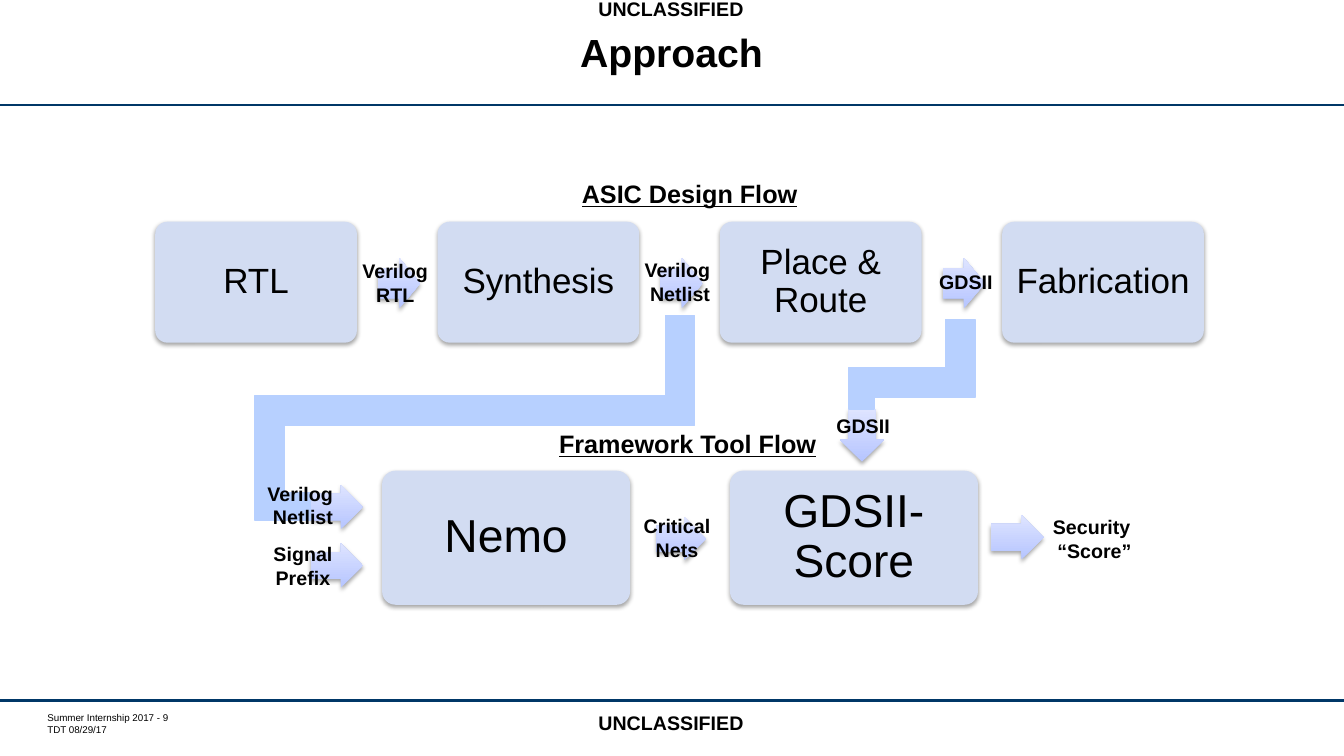
from dataclasses import dataclass

from lxml import etree
from pptx import Presentation, util as u
from pptx.dml.color import RGBColor
from pptx.enum import shapes, text
from pptx.oxml import ns

Inches, Pt = u.Inches, u.Pt
SHAPE = shapes.MSO_SHAPE


@dataclass(frozen=True)
class Theme:
    font: str = "Arial"
    ink: RGBColor = RGBColor(0x00, 0x00, 0x00)
    rule: RGBColor = RGBColor(0x00, 0x37, 0x67)
    box: RGBColor = RGBColor(0xD2, 0xDC, 0xF2)
    pipe: RGBColor = RGBColor(0xB7, 0xD0, 0xFF)
    arrow_low: RGBColor = RGBColor(0xB6, 0xC5, 0xFF)
    arrow_high: RGBColor = RGBColor(0xDE, 0xE4, 0xFF)
    title: int = 28
    heading: int = 18
    label: int = 14
    footer: int = 7
    flow_box: int = 25
    tool_box: int = 33


theme = Theme()
CENTER = text.PP_ALIGN.CENTER

prs = Presentation()
prs.slide_width, prs.slide_height = Inches(13.33), Inches(7.5)
s = prs.slides.add_slide(prs.slide_layouts[6])


def write(sp, lines, size, bold=False, underline=False, align=CENTER, spacing=None):
    """Fill a shape with one paragraph per line."""
    tf = sp.text_frame
    for i, line in enumerate(lines):
        p = tf.paragraphs[0] if i == 0 else tf.add_paragraph()
        p.alignment = align
        if spacing:
            p.line_spacing = spacing
        r = p.add_run()
        r.text = line
        r.font.name, r.font.size = theme.font, Pt(size)
        r.font.bold, r.font.underline = bold, underline
        r.font.color.rgb = theme.ink
    return tf


def add_block(kind, x, y, w, h, color=None):
    """Add a borderless shape with a soft shadow; a gradient if no colour is given."""
    sp = s.shapes.add_shape(kind, Inches(x), Inches(y), Inches(w), Inches(h))
    sp.line.fill.background()
    if color is not None:
        sp.fill.solid()
        sp.fill.fore_color.rgb = color
    else:
        sp.fill.gradient()
        sp.fill.gradient_angle = 90
        low, high = sp.fill.gradient_stops
        low.color.rgb, low.position = theme.arrow_low, 0
        high.color.rgb, high.position = theme.arrow_high, 1
    sp.shadow.inherit = False
    effects = sp._element.spPr.find(ns.qn("a:effectLst"))
    shadow = etree.SubElement(effects, ns.qn("a:outerShdw"), blurRad=str(Pt(3.1)),
                              dist=str(Pt(1.8)), dir="5400000", rotWithShape="0")
    black = etree.SubElement(shadow, ns.qn("a:srgbClr"), val="000000")
    etree.SubElement(black, ns.qn("a:alpha"), val="35000")
    return sp


# Header and footer rules
for y in (1.04, 6.95):
    rule = s.shapes.add_connector(shapes.MSO_CONNECTOR.STRAIGHT, 0, Inches(y),
                                  prs.slide_width, Inches(y))
    rule.line.color.rgb, rule.line.width = theme.rule, Pt(1.75)
    etree.SubElement(rule._element.spPr, ns.qn("a:effectLst"))

# Footer note
note = s.shapes.add_textbox(Inches(0.47), Inches(7.06), Inches(1.59), Inches(0.24))
tf = write(note, ["Summer Internship 2017 - 9", "TDT 08/29/17"], theme.footer,
           align=text.PP_ALIGN.LEFT)
tf.word_wrap = True
tf.margin_left = tf.margin_top = tf.margin_right = tf.margin_bottom = 0

# Title
title = s.shapes.add_textbox(Inches(1.37), Inches(0.11), Inches(10.58), Inches(0.89))
tf = write(title, ["Approach"], theme.title, bold=True, spacing=Pt(28))
tf.word_wrap = True
tf.vertical_anchor = text.MSO_ANCHOR.MIDDLE

# Boxes of both flows: left, top, width, height, pitch, type size, inset, names
flows = [
    (1.54, 2.2, 2, 1.2, 2.8, theme.flow_box, 0.09,
     ["RTL", "Synthesis", "Place & Route", "Fabrication"]),
    (3.79, 4.67, 2.46, 1.33, 3.45, theme.tool_box, 0.14, ["Nemo", "GDSII-Score"]),
]
for x, y, w, h, pitch, size, inset, names in flows:
    for i, name in enumerate(names):
        sp = add_block(SHAPE.ROUNDED_RECTANGLE, x + i * pitch, y, w, h, theme.box)
        sp.adjustments[0] = 0.1
        tf = write(sp, [name], size, spacing=0.9)
        tf.word_wrap = True
        tf.vertical_anchor = text.MSO_ANCHOR.MIDDLE
        tf.margin_left = tf.margin_right = Inches(inset)
        tf.margin_top = tf.margin_bottom = Inches(inset)

# Arrows
arrows = [(SHAPE.RIGHT_ARROW, 3.75 + i * 2.8, 2.56, 0.42, 0.5) for i in range(3)]
arrows += [
    (SHAPE.RIGHT_ARROW, 6.51, 5.13, 0.49, 0.43),
    (SHAPE.RIGHT_ARROW, 3.08, 5.39, 0.52, 0.44),
    (SHAPE.RIGHT_ARROW, 3.08, 4.81, 0.52, 0.44),
    (SHAPE.RIGHT_ARROW, 9.83, 5.11, 0.52, 0.44),
    (SHAPE.DOWN_ARROW, 8.33, 4.06, 0.44, 0.52),
]
for arrow in arrows:
    sp = add_block(*arrow)
    sp.adjustments[0], sp.adjustments[1] = 0.6, 0.5

# Pipes from the design flow down to the tool flow
pipes = [
    (6.6, 3.13, 0.29, 1.07), (2.53, 3.93, 4.36, 0.29),
    (2.53, 3.93, 0.29, 1.23), (2.53, 4.89, 0.55, 0.27),
    (8.42, 3.65, 1.25, 0.29), (9.38, 3.17, 0.29, 0.77), (8.42, 3.65, 0.25, 0.41),
]
for pipe in pipes:
    sp = s.shapes.add_shape(SHAPE.RECTANGLE, *map(Inches, pipe))
    sp.shadow.inherit = False
    sp.fill.solid()
    sp.fill.fore_color.rgb = sp.line.color.rgb = theme.pipe
    sp.line.width = Pt(1)

# Headings, markings and arrow labels: left, top, width, height, lines
headings = [
    (5.66, 1.72, 2.36, 0.4, ["ASIC Design Flow"]),
    (5.43, 4.2, 2.78, 0.4, ["Framework Tool Flow"]),
]
labels = [
    (5.83, -0.08, 1.65, 0.34, ["UNCLASSIFIED"]),
    (5.83, 7, 1.65, 0.34, ["UNCLASSIFIED"]),
    (3.49, 2.52, 0.86, 0.57, ["Verilog", "RTL"]),
    (6.29, 2.51, 0.91, 0.57, ["Verilog ", "Netlist"]),
    (9.21, 2.63, 0.74, 0.34, ["GDSII"]),
    (8.19, 4.06, 0.74, 0.34, ["GDSII"]),
    (2.55, 4.73, 0.91, 0.57, ["Verilog ", "Netlist"]),
    (2.61, 5.33, 0.79, 0.57, ["Signal", "Prefix"]),
    (6.28, 5.05, 0.87, 0.57, ["Critical", "Nets"]),
    (10.34, 5.06, 1.03, 0.57, ["Security ", "“Score”"]),
]
for group, size, underline in ((headings, theme.heading, True),
                               (labels, theme.label, False)):
    for x, y, w, h, lines in group:
        sp = s.shapes.add_textbox(Inches(x), Inches(y), Inches(w), Inches(h))
        tf = write(sp, lines, size, bold=True, underline=underline)
        tf.word_wrap = False
        tf.auto_size = text.MSO_AUTO_SIZE.SHAPE_TO_FIT_TEXT

prs.save("out.pptx")
